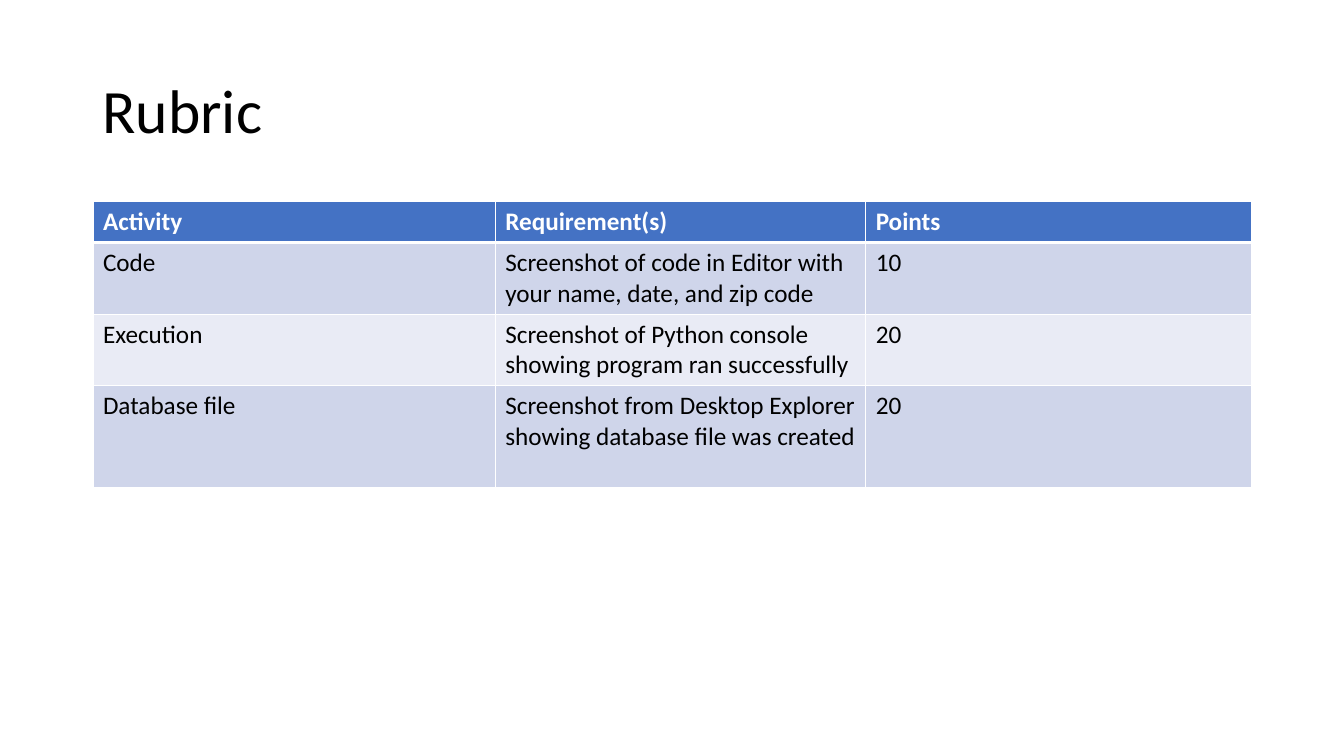
from lxml import etree
from pptx import Presentation
from pptx import util as u
from pptx.dml.color import RGBColor
from pptx.enum import text
from pptx.oxml import ns

WHITE = RGBColor(0xFF, 0xFF, 0xFF)
BLACK = RGBColor(0, 0, 0)
BLUE = RGBColor(0x44, 0x72, 0xC4)
BANDS = [RGBColor(0xE9, 0xEB, 0xF5), RGBColor(0xCF, 0xD5, 0xEA)]

RUBRIC = [
    ("Activity", "Requirement(s)", "Points"),
    ("Code", "Screenshot of code in Editor with your name, date, and zip code", "10"),
    ("Execution", "Screenshot of Python console showing program ran successfully", "20"),
    ("Database file", "Screenshot from Desktop Explorer showing database file was created", "20"),
]
COLUMN_WIDTHS = [287.4, 264.6, 276]
ROW_HEIGHTS = [29.2, 51, 51, 72.6]


def write(frame, words, size=18, color=BLACK, bold=False, spacing=1.0):
    para = frame.paragraphs[0]
    para.alignment = text.PP_ALIGN.LEFT
    para.line_spacing = spacing
    span = para.add_run()
    span.text = words
    span.font.name = "Calibri"
    span.font.size = u.Pt(size)
    span.font.color.rgb = color
    span.font.bold = bold


def add_border(cell, side, width):
    properties = cell._tc.get_or_add_tcPr()
    line = etree.SubElement(properties, ns.qn(f"a:{side}"), w=str(u.Pt(width)))
    fill = etree.SubElement(line, ns.qn("a:solidFill"))
    etree.SubElement(fill, ns.qn("a:srgbClr"), val=str(WHITE))


deck = Presentation()
deck.slide_width, deck.slide_height = u.Pt(960), u.Pt(540)
page = deck.slides.add_slide(deck.slide_layouts[5])

title = page.shapes.title
title.left, title.top, title.width, title.height = map(u.Pt, (66, 28.75, 828, 104.4))
title.text_frame.vertical_anchor = text.MSO_ANCHOR.MIDDLE
write(title.text_frame, "Rubric", size=44, spacing=0.9)

table = page.shapes.add_table(
    len(RUBRIC), len(COLUMN_WIDTHS), u.Pt(66.4), u.Pt(144),
    u.Pt(sum(COLUMN_WIDTHS)), u.Pt(sum(ROW_HEIGHTS)),
).table
for column, width in zip(table.columns, COLUMN_WIDTHS):
    column.width = u.Pt(width)

for row_index, (row, height, entries) in enumerate(zip(table.rows, ROW_HEIGHTS, RUBRIC)):
    row.height = u.Pt(height)
    header = row_index == 0
    for cell, words in zip(row.cells, entries):
        for side in ("lnL", "lnR", "lnT", "lnB"):
            thick = (row_index, side) in [(0, "lnB"), (1, "lnT")]
            add_border(cell, side, 3 if thick else 1)
        cell.fill.solid()
        cell.fill.fore_color.rgb = BLUE if header else BANDS[row_index % 2]
        write(cell.text_frame, words, color=WHITE if header else BLACK, bold=header)

deck.save("out.pptx")
